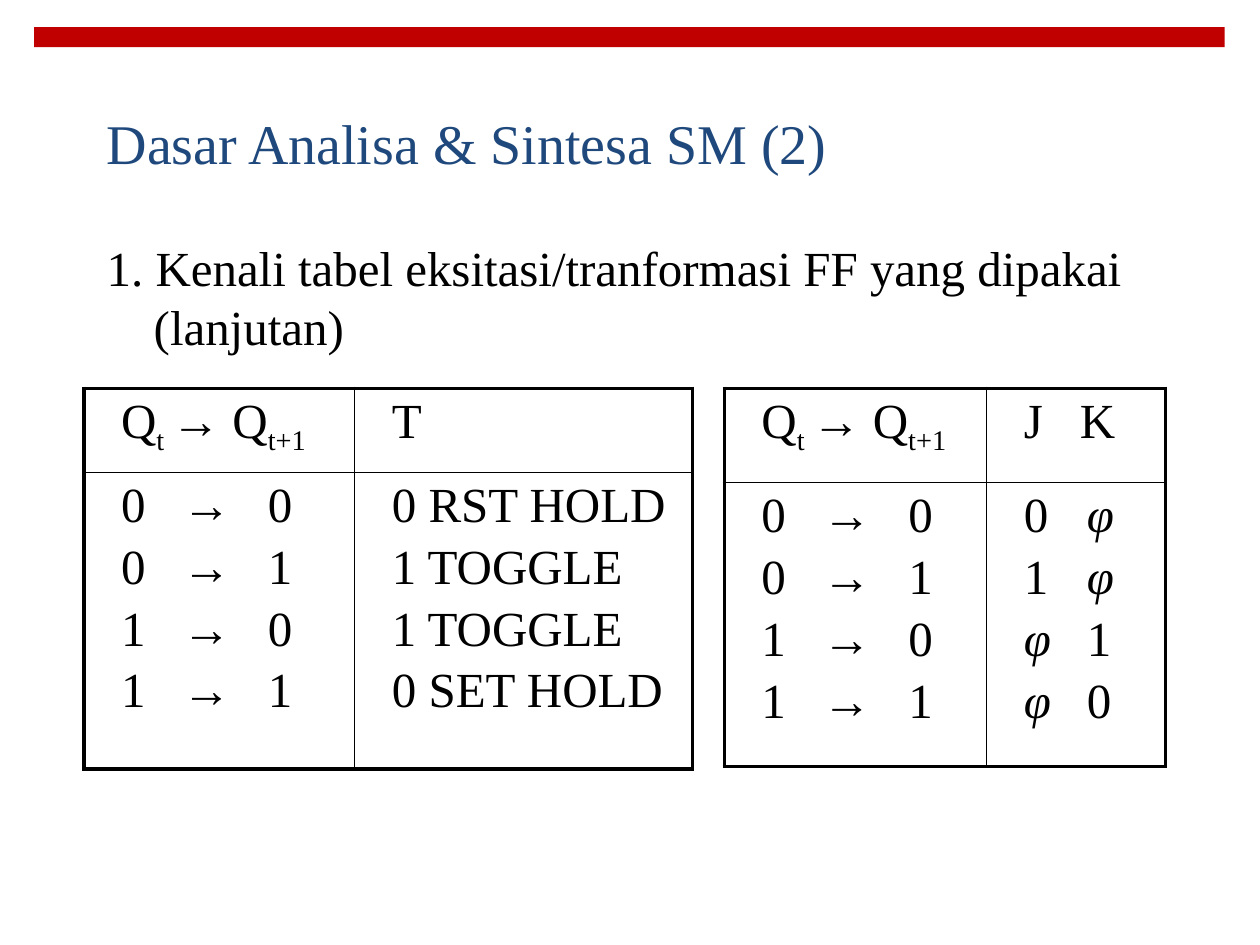
import pptx
import pptx.dml.color
import pptx.enum.shapes
import pptx.enum.text
import pptx.oxml.ns
import pptx.util
from lxml import etree

Cm = pptx.util.Cm
Pt = pptx.util.Pt
RGBColor = pptx.dml.color.RGBColor
qn = pptx.oxml.ns.qn

RED = RGBColor(0xC0, 0x00, 0x00)
NAVY = RGBColor(0x1F, 0x49, 0x7D)
BLACK = RGBColor(0x00, 0x00, 0x00)

FONT = "Times New Roman"
THICK, THIN = Pt(2.25), Pt(1)
STATE_TABS = (1.23, 2.96)
SUBSCRIPT = -25000

# Rich text: each paragraph is a list of (text, format) pairs
SUB = {"baseline": SUBSCRIPT}
PHI = ("φ", {"italic": True})
TRANSITION_HEAD = [[("Q", {}), ("t ", SUB), ("→ Q", {}), ("t+1", SUB)]]
TRANSITIONS = [[(f"{now}\t→\t{after}", {})] for now in (0, 1) for after in (0, 1)]
T_ROWS = [[(text, {})] for text in
          ("0 RST HOLD", "1 TOGGLE", "1 TOGGLE", "0 SET HOLD")]
JK_ROWS = [[("0\t", {}), PHI], [("1\t", {}), PHI],
           [PHI, ("\t1", {})], [PHI, ("\t0", {})]]


def add_span(para, text, size=28, color=BLACK, baseline=None, **formats):
    span = para.add_run()
    span.text = text
    span.font.color.rgb = color
    for name, value in {"name": FONT, "size": Pt(size), **formats}.items():
        setattr(span.font, name, value)
    if baseline:
        span._r.get_or_add_rPr().set("baseline", str(baseline))


def add_tabs(para, stops):
    tab_list = etree.SubElement(para._p.get_or_add_pPr(), qn("a:tabLst"))
    for stop in stops:
        etree.SubElement(tab_list, qn("a:tab"), pos=str(Cm(stop)), algn="l")


def add_text(page, place, text, anchor, hanging=0, **formats):
    box = page.shapes.add_textbox(*map(Cm, place))
    frame = box.text_frame
    frame.word_wrap = True
    frame.vertical_anchor = anchor
    para = frame.paragraphs[0]
    if hanging:
        properties = para._p.get_or_add_pPr()
        properties.set("marL", str(Cm(hanging)))
        properties.set("indent", str(-Cm(hanging)))
    add_span(para, text, **formats)


def set_borders(cell, widths):
    properties = cell._tc.get_or_add_tcPr()
    for position, (side, width) in enumerate(widths.items()):
        line = etree.Element(qn(f"a:ln{side}"), w=str(width))
        fill = etree.SubElement(line, qn("a:solidFill"))
        etree.SubElement(fill, qn("a:srgbClr"), val=str(BLACK))
        properties.insert(position, line)


def fill_cell(cell, lines, stops):
    cell.fill.background()
    cell.margin_left = Cm(0.75)
    cell.margin_right = Cm(0)
    frame = cell.text_frame
    for number, line in enumerate(lines):
        para = frame.add_paragraph() if number else frame.paragraphs[0]
        if number:
            para.space_before = Pt(4.4)
        add_tabs(para, stops)
        for text, formats in line:
            add_span(para, text, **formats)


def add_excitation_table(page, left, top, widths, heights, contents, stops):
    table = page.shapes.add_table(
        2, 2, Cm(left), Cm(top), Cm(sum(widths)), Cm(sum(heights))).table
    table.first_row = table.horz_banding = False
    for column, width in zip(table.columns, widths):
        column.width = Cm(width)
    for row, height in zip(table.rows, heights):
        row.height = Cm(height)
    for r, row_contents in enumerate(contents):
        for c, lines in enumerate(row_contents):
            cell = table.cell(r, c)
            fill_cell(cell, lines, stops[r][c])
            # Thick outline, thin inner rules
            set_borders(cell, {"L": THIN if c else THICK, "R": THICK if c else THIN,
                               "T": THIN if r else THICK, "B": THICK if r else THIN})


def add_top_bar(page):
    bar = page.shapes.add_shape(pptx.enum.shapes.MSO_SHAPE.RECTANGLE,
                                Cm(0.69), Cm(0.55), Cm(24), Cm(0.4))
    bar.shadow.inherit = False
    bar.fill.solid()
    bar.fill.fore_color.rgb = RED
    bar.line.fill.background()


def main():
    deck = pptx.Presentation()
    deck.slide_width, deck.slide_height = Cm(25.4), Cm(19.05)
    page = deck.slides.add_slide(deck.slide_layouts[6])
    anchors = pptx.enum.text.MSO_ANCHOR

    # Heading
    add_top_bar(page)
    add_text(page, (1.9, 1.7, 21.6, 2.33), "Dasar Analisa & Sintesa SM (2)",
             anchors.MIDDLE, size=32, color=NAVY)

    # Numbered point
    add_text(page, (1.9, 4.66, 21.4, 2.54),
             "1. Kenali tabel eksitasi/tranformasi FF yang dipakai (lanjutan)",
             anchors.TOP, hanging=0.95)

    # JK and T flip-flop tables
    add_excitation_table(
        page, 14.6, 7.83, (5.29, 3.6), (1.9, 5.72),
        [[TRANSITION_HEAD, [[("J\tK", {})]]], [TRANSITIONS, JK_ROWS]],
        [[(), (1.13,)], [STATE_TABS, (1.27,)]])
    add_excitation_table(
        page, 1.69, 7.83, (5.46, 6.81), (1.69, 5.98),
        [[TRANSITION_HEAD, [[("T", {})]]], [TRANSITIONS, T_ROWS]],
        [[(), ()], [STATE_TABS, ()]])

    deck.save("out.pptx")


if __name__ == "__main__":
    main()
